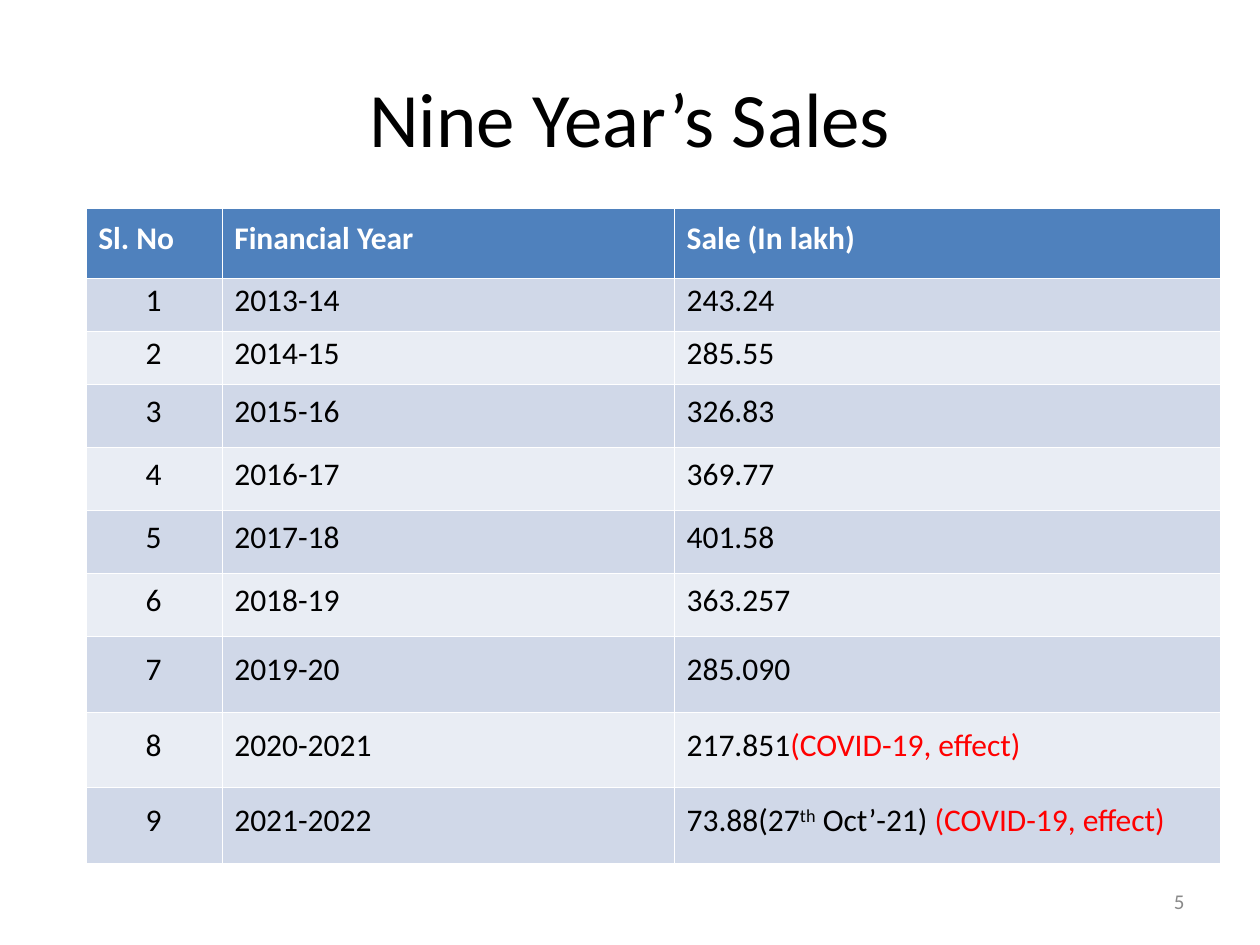
from lxml.etree import SubElement
from pptx import Presentation
from pptx.dml.color import RGBColor
from pptx.enum.text import MSO_ANCHOR as Anchor, PP_ALIGN as Align
from pptx.oxml.ns import qn
from pptx.util import Pt

PX = 9144
FONT = "Calibri"
BLACK, WHITE, RED, GREY = "000000", "FFFFFF", "FF0000", "898989"
HEADER_FILL, BAND_FILLS = "4F81BD", ("E9EDF4", "D0D8E8")

TITLE = "Nine Year’s Sales"
SLIDE_NUMBER = "5"
HEADERS = ["Sl. No", "Financial Year", "Sale (In lakh)"]
COVID = "(COVID-19, effect)"
SALES = [
    ("2013-14", [("243.24", BLACK, 0)]),
    ("2014-15", [("285.55", BLACK, 0)]),
    ("2015-16", [("326.83", BLACK, 0)]),
    ("2016-17", [("369.77", BLACK, 0)]),
    ("2017-18", [("401.58", BLACK, 0)]),
    ("2018-19", [("363.257", BLACK, 0)]),
    ("2019-20", [("285.090", BLACK, 0)]),
    ("2020-2021", [("217.851", BLACK, 0), (COVID, RED, 0)]),
    ("2021-2022", [("73.88(27", BLACK, 0), ("th", BLACK, 30000),
                   (" Oct’-21)", BLACK, 0), (" " + COVID, RED, 0)]),
]
COLUMN_WIDTHS = [108, 359, 433]
ROW_HEIGHTS = [56] + [42] * 2 + [50] * 4 + [60] * 3


def color(value):
    return RGBColor.from_string(value)


def write(paragraph, runs, size, align=Align.LEFT, bold=False):
    paragraph.alignment = align
    for text, run_color, baseline in runs:
        run = paragraph.add_run()
        run.text = text
        run.font.name = FONT
        run.font.size = Pt(size)
        run.font.bold = bold
        run.font.color.rgb = color(run_color)
        if baseline:
            run.font._element.set("baseline", str(baseline))


def add_text(slide, box, text, size, text_color, align):
    shape = slide.shapes.add_textbox(*(value * PX for value in box))
    frame = shape.text_frame
    frame.word_wrap = True
    frame.vertical_anchor = Anchor.MIDDLE
    write(frame.paragraphs[0], [(text, text_color, 0)], size, align)


def set_borders(cell):
    properties = cell._tc.get_or_add_tcPr()
    for index, side in enumerate(("lnL", "lnR", "lnT", "lnB")):
        line = SubElement(properties, qn("a:" + side), w="762")
        fill = SubElement(line, qn("a:solidFill"))
        SubElement(fill, qn("a:srgbClr"), val=WHITE)
        properties.insert(index, line)


def add_sales_table(slide):
    rows = [[[(header, WHITE, 0)] for header in HEADERS]]
    for number, (year, sale) in enumerate(SALES, 1):
        rows.append([[(str(number), BLACK, 0)], [(year, BLACK, 0)], sale])
    table = slide.shapes.add_table(
        len(rows), len(HEADERS), 68 * PX, 165 * PX,
        sum(COLUMN_WIDTHS) * PX, sum(ROW_HEIGHTS) * PX).table
    for column, width in zip(table.columns, COLUMN_WIDTHS):
        column.width = width * PX
    for row, height in zip(table.rows, ROW_HEIGHTS):
        row.height = height * PX
    for r, row in enumerate(rows):
        for c, runs in enumerate(row):
            cell = table.cell(r, c)
            cell.vertical_anchor = Anchor.MIDDLE
            cell.fill.solid()
            cell.fill.fore_color.rgb = color(BAND_FILLS[r % 2] if r else HEADER_FILL)
            set_borders(cell)
            paragraph = cell.text_frame.paragraphs[0]
            paragraph.line_spacing = 0.58
            write(paragraph, runs, 18, Align.CENTER if r and c == 0 else Align.LEFT, r == 0)


def main():
    presentation = Presentation()
    presentation.slide_width = 1000 * PX
    presentation.slide_height = 750 * PX
    slide = presentation.slides.add_slide(presentation.slide_layouts[6])
    add_text(slide, (50, 30, 900, 125), TITLE, 44, BLACK, Align.CENTER)
    add_sales_table(slide)
    add_text(slide, (717, 695, 233, 40), SLIDE_NUMBER, 12, GREY, Align.RIGHT)
    presentation.save("out.pptx")


if __name__ == "__main__":
    main()
